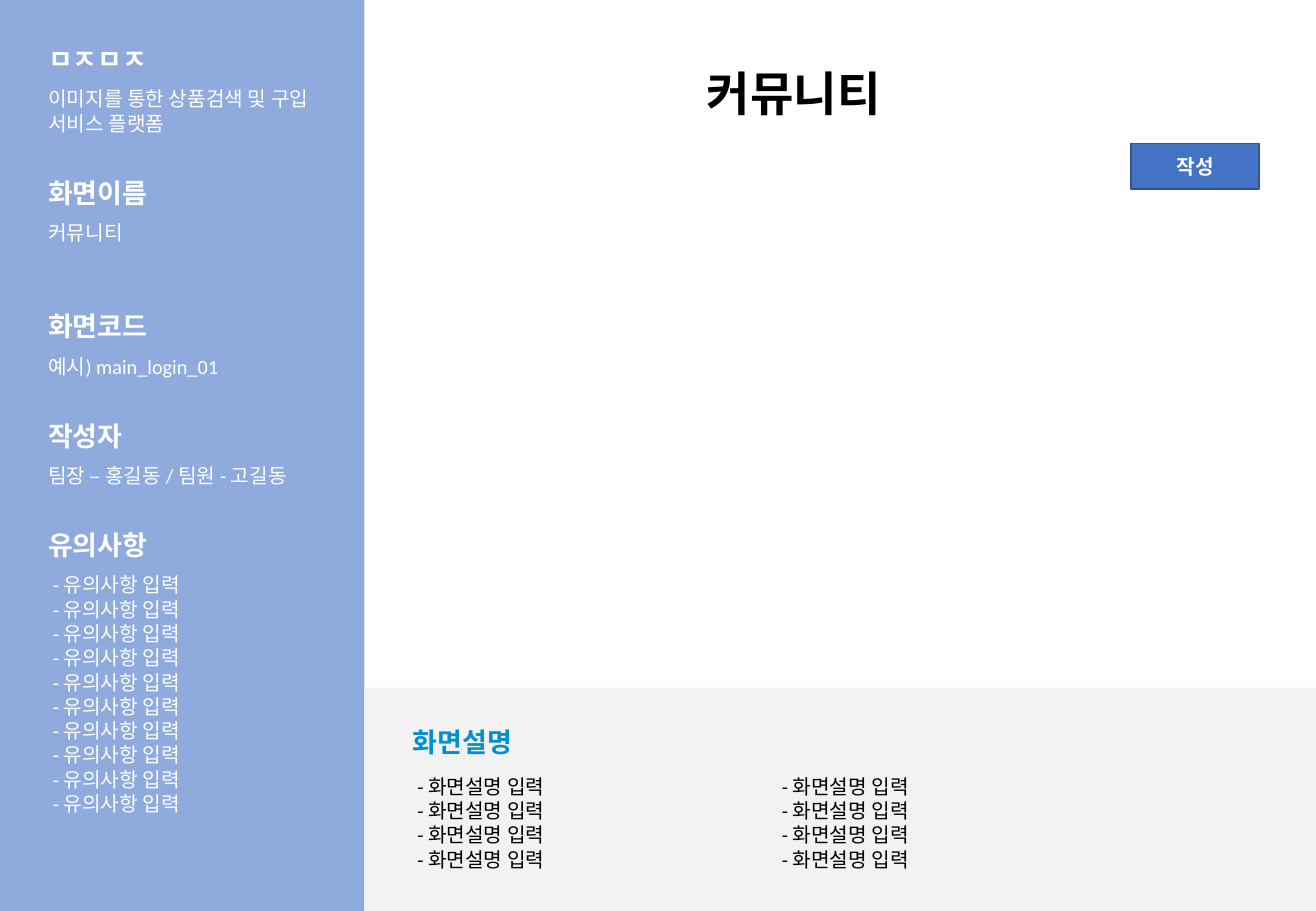
from dataclasses import dataclass

from pptx import Presentation
from pptx.dml.color import RGBColor
from pptx.enum.shapes import MSO_SHAPE as Preset
from pptx.enum.text import MSO_ANCHOR as Anchor, MSO_AUTO_SIZE as AutoSize, PP_ALIGN as Align
from pptx.util import Cm, Pt


@dataclass(frozen=True)
class Theme:
    """Colours, font and type sizes of the slide."""
    font: str = "Calibri"
    sidebar: str = "8FAADC"
    panel: str = "F2F2F2"
    button: str = "4472C4"
    button_line: str = "325491"
    accent: str = "0090D0"
    light: str = "FFFFFF"
    dark: str = "000000"
    title_size: int = 28
    heading_size: int = 16
    body_size: int = 12


@dataclass(frozen=True)
class Box:
    """A region measured in centimetres."""
    left: float
    top: float
    width: float
    height: float

    def inner(self, left, top, width, height):
        """Return a box placed relative to this one."""
        return Box(self.left + left, self.top + top, width, height)

    def lengths(self):
        """Return the four lengths for python-pptx."""
        return [Cm(value) for value in (self.left, self.top, self.width, self.height)]


THEME = Theme()
SLIDE = Box(0, 0, 27.51, 19.05)
SIDEBAR_WIDTH = 7.62
PANEL_TOP = 14.38
MARGIN = 0.76
HEADING_WIDTH = 2.8
HEADING_HEIGHT = 0.93
LINE_HEIGHT = 0.51
TEXT_PADDING = 0.25

SIDEBAR_SECTIONS = [
    (0.76, "ㅁㅈㅁㅈ", ["이미지를 통한 상품검색 및 구입 서비스 플랫폼"], 2),
    (3.56, "화면이름", ["커뮤니티"], 1),
    (6.35, "화면코드", ["예시) main_login_01"], 1),
    (8.64, "작성자", ["팀장 – 홍길동 / 팀원 - 고길동"], 1),
    (10.92, "유의사항", [" - 유의사항 입력"] * 10, 10),
]
DESCRIPTION_LINES = [" - 화면설명 입력"] * 4


def write_lines(frame, lines, size, color, bold=False, align=None):
    """Write one paragraph per line in a single style."""
    for index, line in enumerate(lines):
        paragraph = frame.paragraphs[0] if index == 0 else frame.add_paragraph()
        paragraph.alignment = align
        run = paragraph.add_run()
        run.text = line
        run.font.name = THEME.font
        run.font.size = Pt(size)
        run.font.bold = bold
        run.font.color.rgb = RGBColor.from_string(color)


def add_text(shapes, box, lines, size, color, bold=False, wrap=True):
    """Add a text box that grows with its text."""
    frame = shapes.add_textbox(*box.lengths()).text_frame
    frame.word_wrap = wrap
    frame.auto_size = AutoSize.SHAPE_TO_FIT_TEXT
    write_lines(frame, lines, size, color, bold)


def add_heading(shapes, box, text, color):
    """Add a bold section heading."""
    add_text(shapes, box, [text], THEME.heading_size, color, bold=True, wrap=False)


def add_rectangle(shapes, box, fill, line=None):
    """Add a flat rectangle with an optional outline."""
    shape = shapes.add_shape(Preset.RECTANGLE, *box.lengths())
    shape.shadow.inherit = False
    shape.fill.solid()
    shape.fill.fore_color.rgb = RGBColor.from_string(fill)
    if line:
        shape.line.color.rgb = RGBColor.from_string(line)
        shape.line.width = Pt(1)
    else:
        shape.line.fill.background()
    return shape


def add_sidebar(slide, box):
    """Add the project information column."""
    add_rectangle(slide.shapes, box, THEME.sidebar)
    for top, heading, lines, line_count in SIDEBAR_SECTIONS:
        group = slide.shapes.add_group_shape()
        heading_box = box.inner(MARGIN, top, HEADING_WIDTH, HEADING_HEIGHT)
        body_height = line_count * LINE_HEIGHT + TEXT_PADDING
        body_box = heading_box.inner(0, HEADING_HEIGHT, 6.03, body_height)
        add_heading(group.shapes, heading_box, heading, THEME.light)
        add_text(group.shapes, body_box, lines, THEME.body_size, THEME.light)


def add_description(slide, box):
    """Add the screen description panel with two columns."""
    add_rectangle(slide.shapes, box, THEME.panel)
    heading_box = box.inner(MARGIN, 0.66, HEADING_WIDTH, HEADING_HEIGHT)
    add_heading(slide.shapes, heading_box, "화면설명", THEME.accent)
    body_height = len(DESCRIPTION_LINES) * LINE_HEIGHT + TEXT_PADDING
    for column in range(2):
        column_box = box.inner(MARGIN + column * 7.62, 1.68, 6.86, body_height)
        add_text(slide.shapes, column_box, DESCRIPTION_LINES, THEME.body_size, THEME.dark)


def add_screen(slide, box):
    """Add the screen mock-up with its title and write button."""
    add_text(slide.shapes, box.inner(6.91, 1.22, 12.5, 1.45), ["커뮤니티"],
             THEME.title_size, THEME.dark, bold=True)
    button = add_rectangle(slide.shapes, box.inner(16.03, 3, 2.67, 0.96),
                           THEME.button, THEME.button_line)
    button.text_frame.vertical_anchor = Anchor.MIDDLE
    write_lines(button.text_frame, ["작성"], THEME.body_size, THEME.light,
                bold=True, align=Align.CENTER)


def main():
    """Build and save the presentation."""
    presentation = Presentation()
    presentation.slide_width = Cm(SLIDE.width)
    presentation.slide_height = Cm(SLIDE.height)
    slide = presentation.slides.add_slide(presentation.slide_layouts[6])
    content_width = SLIDE.width - SIDEBAR_WIDTH
    add_sidebar(slide, SLIDE.inner(0, 0, SIDEBAR_WIDTH, SLIDE.height))
    add_description(slide, SLIDE.inner(SIDEBAR_WIDTH, PANEL_TOP, content_width,
                                       SLIDE.height - PANEL_TOP))
    add_screen(slide, SLIDE.inner(SIDEBAR_WIDTH, 0, content_width, PANEL_TOP))
    presentation.save("out.pptx")


if __name__ == "__main__":
    main()
